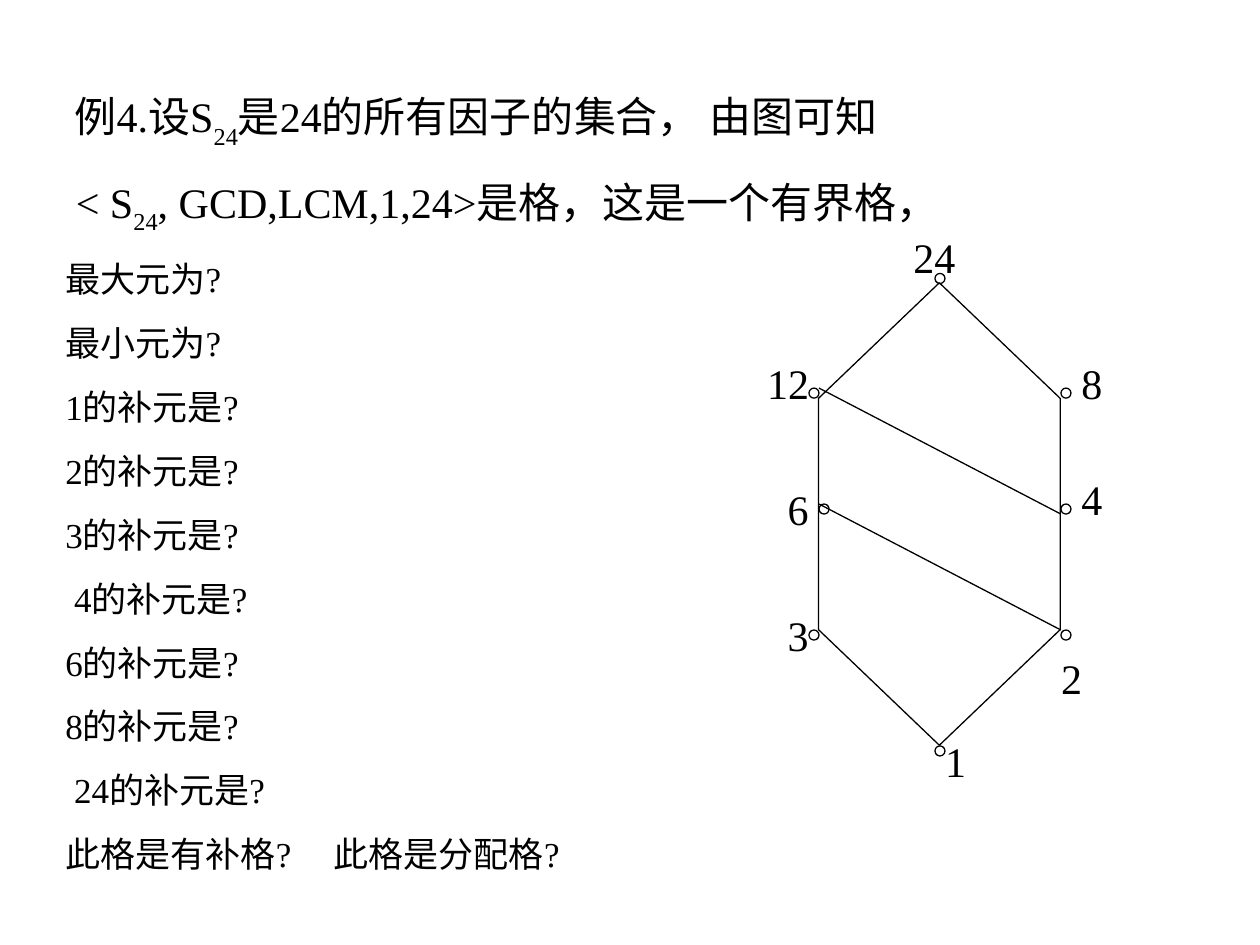
from typing import NamedTuple

from lxml import etree
from pptx import Presentation
from pptx.dml.color import RGBColor
from pptx.enum.shapes import MSO_CONNECTOR, MSO_SHAPE
from pptx.enum.text import MSO_ANCHOR, MSO_AUTO_SIZE, PP_ALIGN
from pptx.oxml.ns import qn
from pptx.util import Inches, Pt

STRAIGHT = MSO_CONNECTOR.STRAIGHT
ELLIPSE, HEXAGON = MSO_SHAPE.OVAL, MSO_SHAPE.HEXAGON
MIDDLE, GROW = MSO_ANCHOR.MIDDLE, MSO_AUTO_SIZE.SHAPE_TO_FIT_TEXT
CENTER, JUSTIFY = PP_ALIGN.CENTER, PP_ALIGN.JUSTIFY

COLORS = {"ink": "000000"}
FONT_NAME = "Times New Roman"
HEADING_SIZE, QUESTION_SIZE = 24, 20
SPACE_BEFORE_RATIO = 0.625
NODE_SIZE = 0.08
LABEL_WIDTH, LABEL_HEIGHT = 0.67, 0.42
LAST_QUESTION_TAB = 2.13


class Node(NamedTuple):
    label: str
    left: float
    top: float
    label_left: float
    label_top: float


class Edge(NamedTuple):
    start: tuple[float, float]
    end: tuple[float, float]


NODES = [
    Node("24", 7.42, 2.17, 7.08, 1.83),
    Node("12", 6.42, 3.08, 5.92, 2.83),
    Node("8", 8.42, 3.08, 8.33, 2.83),
    Node("6", 6.5, 4, 6, 3.83),
    Node("4", 8.42, 4, 8.33, 3.75),
    Node("3", 6.42, 5, 6, 4.83),
    Node("2", 8.42, 5, 8.17, 5.17),
    Node("1", 7.42, 5.92, 7.25, 5.83),
]
CROSS_EDGES = [Edge((6.5, 3.08), (8.42, 4.08)), Edge((6.5, 4), (8.42, 5))]

# Each heading line is split into text before, subscript and text after.
HEADINGS = [
    (" 例4.设S", "24", "是24的所有因子的集合， 由图可知"),
    (" < S", "24", ", GCD,LCM,1,24>是格，这是一个有界格，"),
]
QUESTIONS = [
    "最大元为?",
    "最小元为?",
    *(f"{prefix}的补元是?" for prefix in ("1", "2", "3", " 4", "6", "8", " 24")),
    "此格是有补格?\t此格是分配格?",
]


def ink() -> RGBColor:
    return RGBColor.from_string(COLORS["ink"])


def add_run(paragraph, text: str, size: float, subscript: bool = False) -> None:
    run = paragraph.add_run()
    run.text = text
    font_format = {"name": FONT_NAME, "size": Pt(size)}
    for attribute, value in font_format.items():
        setattr(run.font, attribute, value)
    run.font.color.rgb = ink()
    if subscript:
        run._r.get_or_add_rPr().set("baseline", "-30000")


def add_tab_stop(paragraph, position: float) -> None:
    tab_list = etree.SubElement(paragraph._p.get_or_add_pPr(), qn("a:tabLst"))
    etree.SubElement(tab_list, qn("a:tab"), pos=str(Inches(position)), algn="l")


def add_exercise(slide) -> None:
    box = slide.shapes.add_textbox(Inches(0.42), Inches(0.67), Inches(9.08), Inches(6.33))
    frame = box.text_frame
    frame.word_wrap = True
    frame.auto_size = GROW
    lines = [(HEADING_SIZE, parts) for parts in HEADINGS]
    lines += [(QUESTION_SIZE, (question,)) for question in QUESTIONS]
    for index, (size, parts) in enumerate(lines):
        paragraph = frame.add_paragraph() if index else frame.paragraphs[0]
        paragraph.alignment = JUSTIFY
        if index:
            paragraph.space_before = Pt(size * SPACE_BEFORE_RATIO)
        if "\t" in parts[0]:
            add_tab_stop(paragraph, LAST_QUESTION_TAB)
        for position, text in enumerate(parts):
            add_run(paragraph, text, size, subscript=position == 1)


def add_outline(shapes, kind, left: float, top: float, width: float, height: float):
    """Add an unfilled preset shape with a thin line."""
    shape = shapes.add_shape(kind, Inches(left), Inches(top), Inches(width), Inches(height))
    shape.shadow.inherit = False
    shape.fill.background()
    shape.line.color.rgb = ink()
    shape.line.width = Pt(0.75)
    return shape


def add_edge(shapes, edge: Edge) -> None:
    points = [Inches(value) for value in (*edge.start, *edge.end)]
    connector = shapes.add_connector(STRAIGHT, *points)
    connector.line.color.rgb = ink()
    connector.line.width = Pt(0.75)
    etree.SubElement(connector._element.spPr, qn("a:effectLst"))


def add_node(shapes, node: Node) -> None:
    add_outline(shapes, ELLIPSE, node.left, node.top, NODE_SIZE, NODE_SIZE)
    label = shapes.add_textbox(
        Inches(node.label_left), Inches(node.label_top), Inches(LABEL_WIDTH), Inches(LABEL_HEIGHT)
    )
    frame_format = {"word_wrap": False, "vertical_anchor": MIDDLE}
    for attribute, value in frame_format.items():
        setattr(label.text_frame, attribute, value)
    paragraph = label.text_frame.paragraphs[0]
    paragraph.alignment = CENTER
    add_run(paragraph, node.label, HEADING_SIZE)


def add_lattice(slide) -> None:
    """Draw the Hasse diagram of the divisors of 24 as one group."""
    shapes = slide.shapes.add_group_shape().shapes
    hexagon = add_outline(shapes, HEXAGON, 5.62, 3.12, 3.67, 1.92)
    hexagon.rotation = 90
    hexagon.adjustments[0] = 0.478
    for edge in CROSS_EDGES:
        add_edge(shapes, edge)
    for node in NODES:
        add_node(shapes, node)


def main() -> None:
    presentation = Presentation()
    presentation.slide_width = Inches(10)
    presentation.slide_height = Inches(7.5)
    slide = presentation.slides.add_slide(presentation.slide_layouts[6])
    add_exercise(slide)
    add_lattice(slide)
    presentation.save("out.pptx")


if __name__ == "__main__":
    main()
